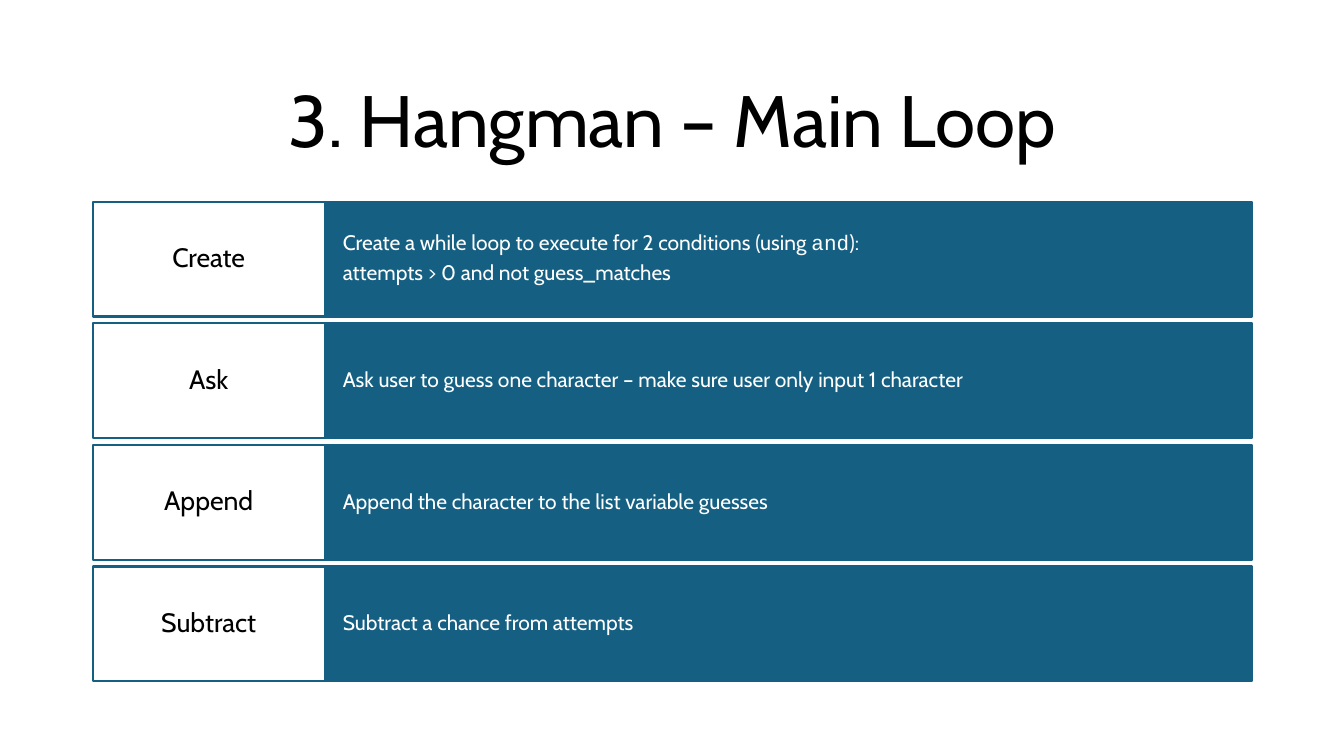
"""Build the Hangman main loop slide: a title above four labelled steps."""
from pptx import Presentation
from pptx.dml.color import RGBColor
from pptx.enum.shapes import MSO_SHAPE
from pptx.enum.text import MSO_ANCHOR, PP_ALIGN
from pptx.util import Inches, Pt

RECTANGLE = MSO_SHAPE.RECTANGLE
MIDDLE = MSO_ANCHOR.MIDDLE
LEFT, CENTER = PP_ALIGN.LEFT, PP_ALIGN.CENTER

BODY_FONT, CODE_FONT = "Cabin", "Courier New"
BLUE, WHITE, BLACK = "156082", "FFFFFF", "000000"

MARGIN, LABEL_WIDTH, DETAIL_WIDTH = 0.92, 2.3, 9.2
FIRST_TOP, LAST_TOP, STEP_HEIGHT = 2, 5.62, 1.14

STEPS = [
    ("Create", [
        [("Create a while loop to execute for 2 conditions (using ", BODY_FONT),
         ("and", CODE_FONT), ("):", BODY_FONT)],
        [("attempts > 0 and not guess_matches", BODY_FONT)],
    ]),
    ("Ask", [[("Ask user to guess one character – make sure user only input 1 character",
               BODY_FONT)]]),
    ("Append", [[("Append the character to the list variable guesses", BODY_FONT)]]),
    ("Subtract", [[("Subtract a chance from attempts", BODY_FONT)]]),
]


def rgb(value):
    """Return the colour for a hex string."""
    return RGBColor.from_string(value)


def write_lines(frame, lines, size, color, align, space_after=0):
    """Fill a text frame with lines, each a list of (text, font) pieces."""
    frame.word_wrap = True
    frame.vertical_anchor = MIDDLE
    for index, pieces in enumerate(lines):
        paragraph = frame.add_paragraph() if index else frame.paragraphs[0]
        paragraph.alignment = align
        paragraph.line_spacing = 0.9
        paragraph.space_after = Pt(space_after)
        for text, font_name in pieces:
            run = paragraph.add_run()
            run.text = text
            run.font.name = font_name
            run.font.size = Pt(size)
            run.font.color.rgb = rgb(color)


def add_title(slide, text):
    """Add the centred slide title."""
    title = slide.shapes.add_textbox(
        Inches(MARGIN), Inches(0.61), Inches(LABEL_WIDTH + DETAIL_WIDTH), Inches(1.24))
    write_lines(title.text_frame, [[(text, BODY_FONT)]], 52, BLACK, CENTER)


def add_panel(slide, left, top, width, fill, insets):
    """Add a blue-edged rectangle and return its text frame."""
    panel = slide.shapes.add_shape(
        RECTANGLE, Inches(left), Inches(top), Inches(width), Inches(STEP_HEIGHT))
    panel.shadow.inherit = False
    panel.fill.solid()
    panel.fill.fore_color.rgb = rgb(fill)
    panel.line.color.rgb = rgb(BLUE)
    panel.line.width = Pt(1.5)
    frame = panel.text_frame
    side, vertical = insets
    frame.margin_left = frame.margin_right = Inches(side)
    frame.margin_top = frame.margin_bottom = Inches(vertical)
    return frame


def add_step(slide, top, label, details):
    """Add one step: its details on blue and its label on white."""
    detail_frame = add_panel(
        slide, MARGIN + LABEL_WIDTH, top, DETAIL_WIDTH, BLUE, (0.18, 0.29))
    write_lines(detail_frame, details, 15, WHITE, LEFT, 5.25)
    label_frame = add_panel(slide, MARGIN, top, LABEL_WIDTH, WHITE, (0.12, 0.11))
    write_lines(label_frame, [[(label, BODY_FONT)]], 19, BLACK, CENTER, 6.65)


def main():
    """Build and save the slide."""
    deck = Presentation()
    deck.slide_width, deck.slide_height = Inches(13.33), Inches(7.5)
    slide = deck.slides.add_slide(deck.slide_layouts[6])
    add_title(slide, "3. Hangman – Main Loop")
    pitch = (LAST_TOP - FIRST_TOP) / (len(STEPS) - 1)
    for index, (label, details) in enumerate(STEPS):
        add_step(slide, FIRST_TOP + index * pitch, label, details)
    deck.save("out.pptx")


if __name__ == "__main__":
    main()
